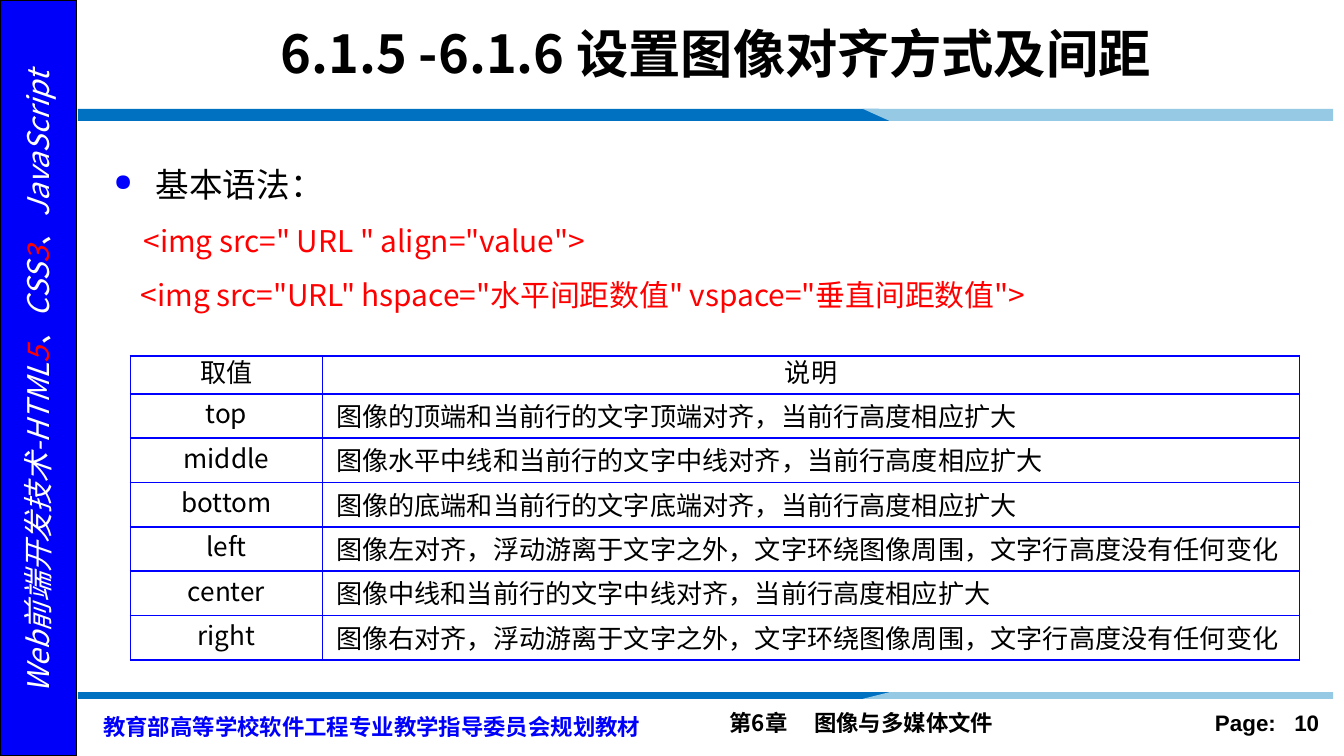
"""Build the slide on image alignment and spacing in HTML."""
import pptx
import pptx.dml.color
import pptx.enum.shapes
import pptx.enum.text
import pptx.oxml
import pptx.oxml.ns
import pptx.util

W = 10
H = W * 9 / 16
CJK = "Noto Sans CJK SC"
BLACK, WHITE, RED, BLUE, EDGE = "000000", "FFFFFF", "FF0000", "0000FA", "0000FF"
ALIGN = pptx.enum.text.PP_ALIGN
MIDDLE = pptx.enum.text.MSO_ANCHOR.MIDDLE
Pt, Inches = pptx.util.Pt, pptx.util.Inches

SMALL = dict(size=12, bold=True)
SIDE = dict(size=16, italic=True, color=WHITE)
DIGIT = dict(SIDE, color=RED)
CODE = dict(size=16, color=RED)
CELL = dict(size=14)
LINE = dict(line_spacing=Pt(29))
CENTER = dict(alignment=ALIGN.CENTER)

TEXTS = [
    dict(box=(5.33, 5.23, 3.29, 0.3), tab=0.63,
         paras=[({}, [("第6章\t图像与多媒体文件", SMALL)])]),
    dict(box=(8.67, 5.23, 1.25, 0.3), tab=0.59, frame=dict(margin_left=Inches(0.37), margin_right=0),
         paras=[({}, [("Page:\t10", dict(SMALL, name="Arial"))])]),
    dict(box=(0.67, 5.21, 4.33, 0.35),
         paras=[(dict(line_spacing=Pt(18)),
                 [("教育部高等学校软件工程专业教学指导委员会规划教材", dict(SMALL, color=BLUE))])]),
    dict(box=(-2.31, 2.66, 5.19, 0.37), rotation=270, frame=dict(margin_left=0, margin_right=0),
         paras=[(CENTER, [("Web前端开发技术-HTML", SIDE), ("5", DIGIT), ("、CSS", SIDE),
                          ("3", DIGIT), ("、JavaScript", SIDE)])]),
    dict(box=(1.08, 0.08, 8.49, 0.62), frame=dict(vertical_anchor=MIDDLE),
         paras=[(CENTER, [("6.1.5 -6.1.6 设置图像对齐方式及间距", dict(size=28, bold=True))])]),
    dict(box=(0.75, 1.07, 9.33, 1.27), bullet=(0.31, "●"), indents=(0.31, 0.22, 0.2),
         paras=[(LINE, [("基本语法：", dict(size=18))]),
                (LINE, [('<img src=" URL " align="value">', CODE)]),
                (LINE, [('<img src="URL" hspace="水平间距数值" vspace="垂直间距数值">', CODE)])]),
]

ROWS = [
    ("取值", "说明"),
    ("top", "图像的顶端和当前行的文字顶端对齐，当前行高度相应扩大"),
    ("middle", "图像水平中线和当前行的文字中线对齐，当前行高度相应扩大"),
    ("bottom", "图像的底端和当前行的文字底端对齐，当前行高度相应扩大"),
    ("left", "图像左对齐，浮动游离于文字之外，文字环绕图像周围，文字行高度没有任何变化"),
    ("center", "图像中线和当前行的文字中线对齐，当前行高度相应扩大"),
    ("right", "图像右对齐，浮动游离于文字之外，文字环绕图像周围，文字行高度没有任何变化"),
]
COLS, HEAD_H, ROW_H = (1.43, 7.27), 0.28, 0.33

RULES = [(0.81, 0.9), (5.2, 5.15)]
BANDS = [("0070C0", (0.58, 6.54, 6.72, 0.58)), ("96CAE4", (6.42, 9.92, 9.92, 6.62))]


def rgb(color):
    return pptx.dml.color.RGBColor.from_string(color)


def assign(obj, values):
    for key, value in values.items():
        setattr(obj, key, value)


def add_xml(parent, xml):
    ns = pptx.oxml.ns.nsdecls("a")
    parent.append(pptx.oxml.parse_xml(xml.replace("NS", ns, 1)))


def add_run(p, text, fmt):
    r = p.add_run()
    r.text = text
    fmt = dict(dict(name=CJK, color=BLACK), **fmt)
    r.font.color.rgb = rgb(fmt.pop("color"))
    assign(r.font, dict(fmt, size=Pt(fmt["size"])))
    add_xml(r.font._element, f'<a:ea NS typeface="{fmt["name"]}"/>')


def add_text(s, box, paras, frame=None, rotation=0, tab=None, bullet=None, indents=()):
    sp = s.shapes.add_textbox(*map(Inches, box))
    sp.rotation = rotation
    tf = sp.text_frame
    assign(tf, dict(dict(word_wrap=True), **(frame or {})))
    for i, (layout, runs) in enumerate(paras):
        p = tf.add_paragraph() if i else tf.paragraphs[0]
        assign(p, layout)
        pr = p._p.get_or_add_pPr()
        if indents:
            pr.set("marL", str(Inches(indents[i])))
        if bullet and i == 0:
            pr.set("indent", str(-Inches(bullet[0])))
            add_xml(pr, f'<a:buClr NS><a:srgbClr val="{EDGE}"/></a:buClr>')
            add_xml(pr, '<a:buSzPct NS val="70000"/>')
            add_xml(pr, f'<a:buChar NS char="{bullet[1]}"/>')
        if tab:
            add_xml(pr, f'<a:tabLst NS><a:tab pos="{Inches(tab)}" algn="l"/></a:tabLst>')
        for text, fmt in runs:
            add_run(p, text, fmt)


def add_band(s, color, xs, top, bottom):
    pts = [(Inches(x), Inches(y)) for x, y in zip(xs, (top, top, bottom, bottom))]
    builder = s.shapes.build_freeform(*pts[0])
    builder.add_line_segments(pts[1:], close=True)
    sp = builder.convert_to_shape()
    sp.shadow.inherit = False
    sp.fill.solid()
    sp.fill.fore_color.rgb = rgb(color)
    sp.line.fill.background()


def add_grid(s):
    heights = [HEAD_H] + [ROW_H] * (len(ROWS) - 1)
    box = (0.97, 2.65, sum(COLS), sum(heights))
    table = s.shapes.add_table(len(ROWS), len(COLS), *map(Inches, box)).table
    assign(table, dict(first_row=False, horz_banding=False))
    for col, width in zip(table.columns, COLS):
        col.width = Inches(width)
    for i, (row, height, texts) in enumerate(zip(table.rows, heights, ROWS)):
        row.height = Inches(height)
        for j, (cell, text) in enumerate(zip(row.cells, texts)):
            centered = i == 0 or j == 0
            assign(cell, dict(margin_top=Inches(0.04), margin_bottom=Inches(0.04)))
            if i and j == 0:
                cell.vertical_anchor = MIDDLE
            p = cell.text_frame.paragraphs[0]
            assign(p, dict(alignment=ALIGN.CENTER if centered else ALIGN.LEFT,
                           line_spacing=0.7 if centered else 0.9))
            add_run(p, text, CELL)
            pr = cell._tc.get_or_add_tcPr()
            for side in ("lnL", "lnR", "lnT", "lnB"):
                add_xml(pr, f'<a:{side} NS w="{Pt(1)}"><a:solidFill>'
                            f'<a:srgbClr val="{EDGE}"/></a:solidFill></a:{side}>')
            cell.fill.background()


def main():
    prs = pptx.Presentation()
    assign(prs, dict(slide_width=Inches(W), slide_height=Inches(H)))
    s = prs.slides.add_slide(prs.slide_layouts[6])
    sp = s.shapes.add_shape(pptx.enum.shapes.MSO_SHAPE.RECTANGLE, 0, 0, Inches(0.57), Inches(H))
    sp.shadow.inherit = False
    sp.fill.solid()
    sp.fill.fore_color.rgb = rgb(BLUE)
    sp.line.color.rgb = rgb(BLACK)
    sp.line.width = Pt(1)
    for top, bottom in RULES:
        for color, xs in BANDS:
            add_band(s, color, xs, top, bottom)
    for text in TEXTS:
        add_text(s, **text)
    add_grid(s)
    prs.save("out.pptx")


if __name__ == "__main__":
    main()
